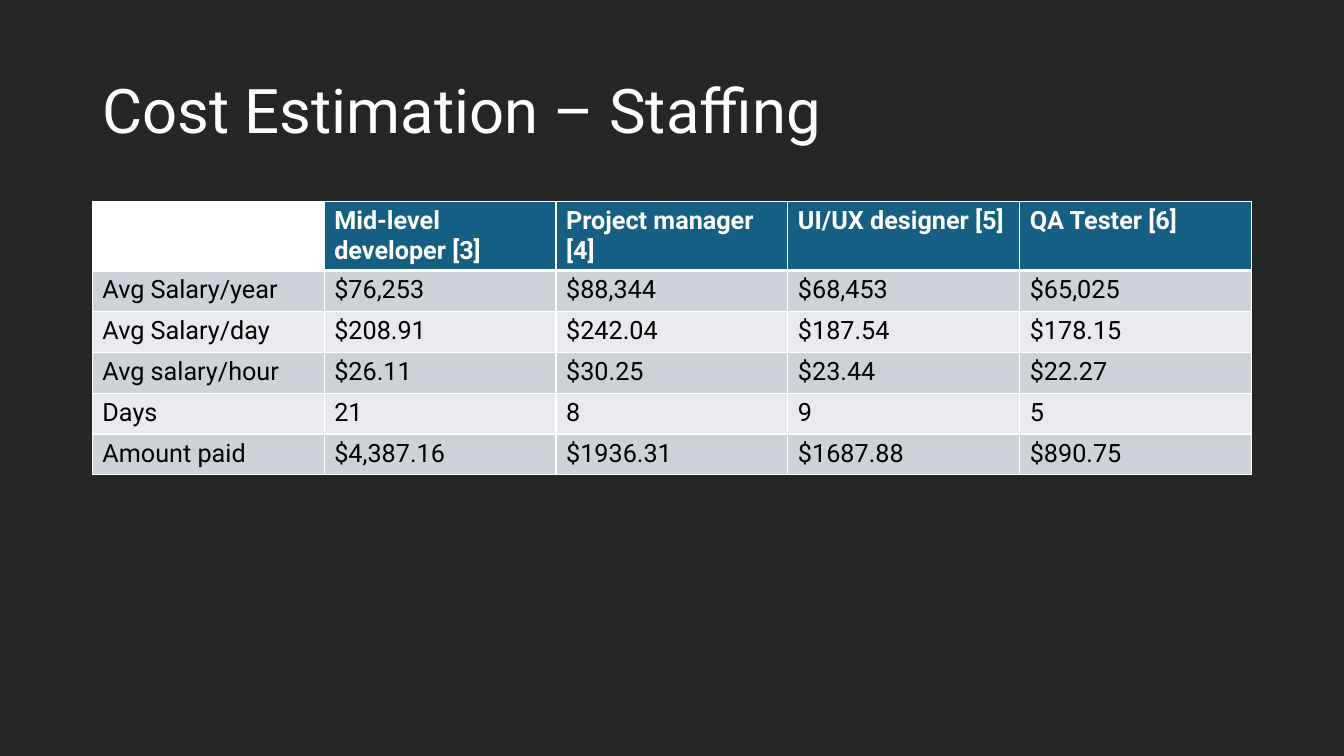
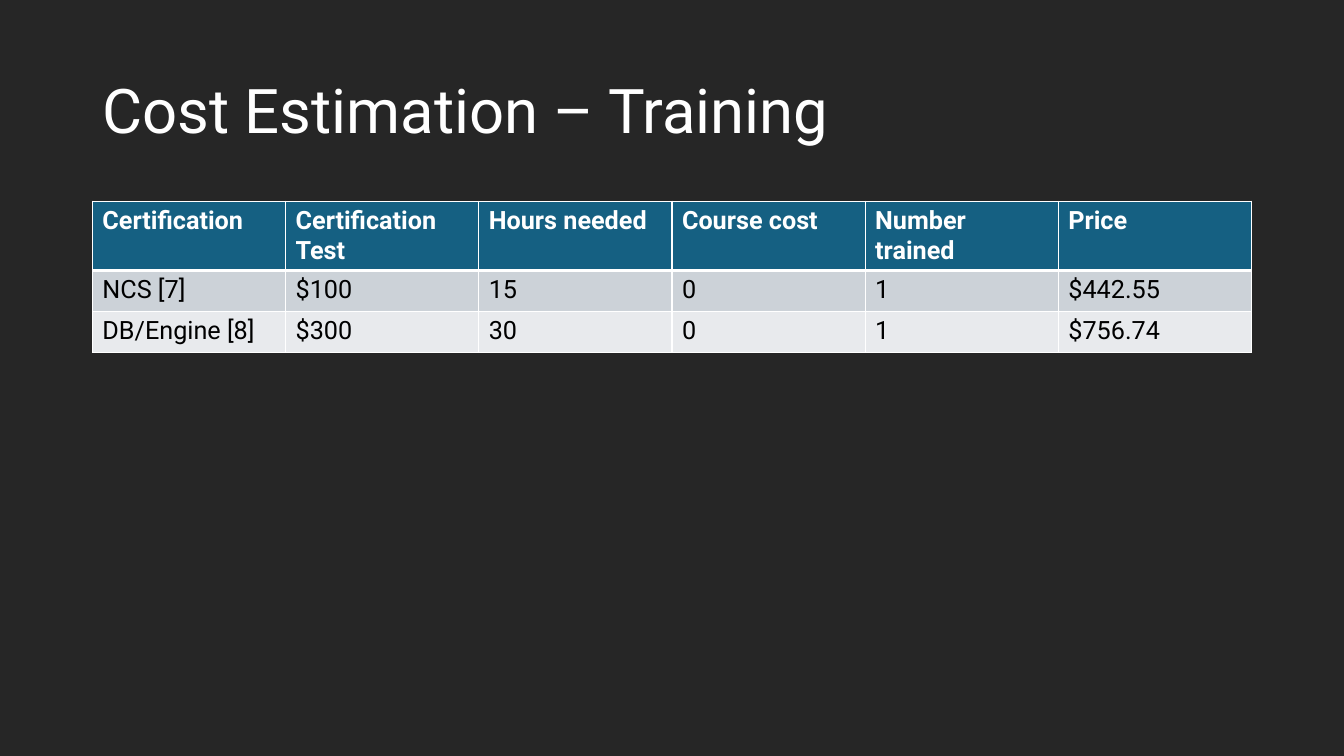
"""Build two cost estimation slides, each with a title and a table."""
from lxml.etree import SubElement
from pptx import Presentation
from pptx.dml.color import RGBColor
from pptx.enum.text import MSO_ANCHOR, PP_ALIGN
from pptx.oxml.ns import qn
from pptx.util import Pt

COLORS = {
    "background": "262626",
    "white": "FFFFFF",
    "black": "000000",
    "header": "156082",
    "odd_row": "CCD2D8",
    "even_row": "E8EAED",
}
FONT = "Roboto"
LEFT, WIDTH = 66, 828
TITLE_TOP, TITLE_HEIGHT = 28.75, 104.4
TABLE_TOP, HEADER_HEIGHT, ROW_HEIGHT = 143.75, 49.3, 29.2

ESTIMATES = {
    "Cost Estimation – Staffing": [
        ["", "Mid-level developer [3]", "Project manager [4]", "UI/UX designer [5]", "QA Tester [6]"],
        ["Avg Salary/year", "$76,253", "$88,344", "$68,453", "$65,025"],
        ["Avg Salary/day", "$208.91", "$242.04", "$187.54", "$178.15"],
        ["Avg salary/hour", "$26.11", "$30.25", "$23.44", "$22.27"],
        ["Days", "21", "8", "9", "5"],
        ["Amount paid", "$4,387.16", "$1936.31", "$1687.88", "$890.75"],
    ],
    "Cost Estimation – Training": [
        ["Certification", "Certification Test", "Hours needed", "Course cost", "Number trained", "Price"],
        ["NCS [7]", "$100", "15", "0", "1", "$442.55"],
        ["DB/Engine [8]", "$300", "30", "0", "1", "$756.74"],
    ],
}


def style_font(font, size, color, bold=False):
    font.name = FONT
    font.size = Pt(size)
    font.bold = bold
    font.color.rgb = RGBColor.from_string(COLORS[color])


def add_borders(cell, widths):
    properties = cell._tc.get_or_add_tcPr()
    for side, width in widths.items():
        line = SubElement(properties, qn(f"a:ln{side}"), w=str(Pt(width)))
        SubElement(SubElement(line, qn("a:solidFill")), qn("a:srgbClr"), val=COLORS["white"])


prs = Presentation()
prs.slide_width, prs.slide_height = Pt(960), Pt(540)
background = prs.slide_master.background.fill
background.solid()
background.fore_color.rgb = RGBColor.from_string(COLORS["background"])

for heading, rows in ESTIMATES.items():
    slide = prs.slides.add_slide(prs.slide_layouts[5])
    title = slide.shapes.title
    title.left, title.top = Pt(LEFT), Pt(TITLE_TOP)
    title.width, title.height = Pt(WIDTH), Pt(TITLE_HEIGHT)
    title.text_frame.text = heading
    title.text_frame.vertical_anchor = MSO_ANCHOR.MIDDLE
    title_line = title.text_frame.paragraphs[0]
    title_line.alignment = PP_ALIGN.LEFT
    title_line.line_spacing = 0.9
    style_font(title_line.font, 44, "white")

    table_height = HEADER_HEIGHT + ROW_HEIGHT * (len(rows) - 1)
    table = slide.shapes.add_table(
        len(rows), len(rows[0]), Pt(LEFT), Pt(TABLE_TOP), Pt(WIDTH), Pt(table_height)
    ).table
    for column in table.columns:
        column.width = Pt(WIDTH / len(rows[0]))

    for row_index, row in enumerate(rows):
        is_header = row_index == 0
        table.rows[row_index].height = Pt(HEADER_HEIGHT if is_header else ROW_HEIGHT)
        row_fill = "header" if is_header else "odd_row" if row_index % 2 else "even_row"
        widths = {"L": 1, "R": 1, "T": 3 if row_index == 1 else 1, "B": 3 if is_header else 1}
        for column_index, text in enumerate(row):
            cell = table.cell(row_index, column_index)
            cell.text = text
            style_font(cell.text_frame.paragraphs[0].font, 18, "white" if is_header else "black", is_header)
            add_borders(cell, widths)
            cell.fill.solid()
            cell.fill.fore_color.rgb = RGBColor.from_string(COLORS[row_fill if text else "white"])

prs.save("out.pptx")
